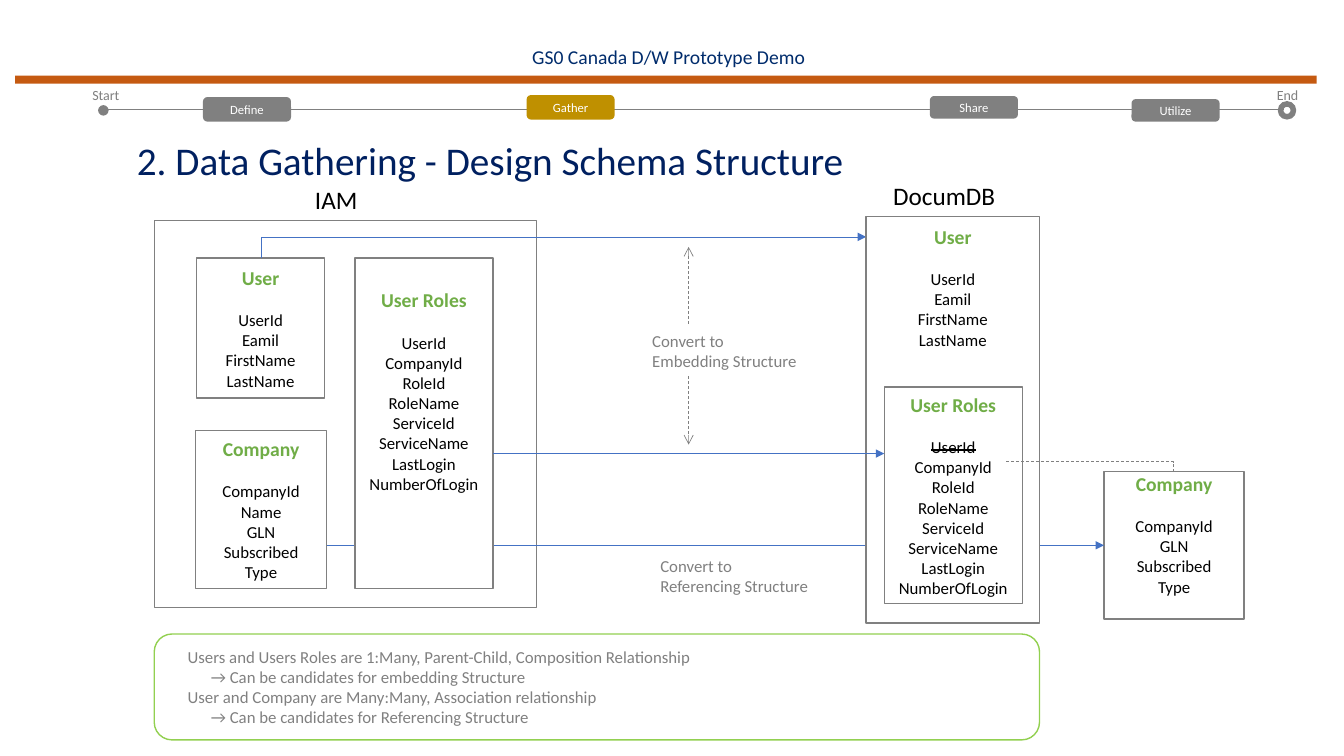
from dataclasses import dataclass
from typing import Optional

from lxml.etree import SubElement
from pptx import Presentation
from pptx.dml.color import RGBColor
from pptx.enum.dml import MSO_LINE
from pptx.enum.shapes import MSO_CONNECTOR as Link, MSO_SHAPE as Kind
from pptx.enum.text import MSO_ANCHOR as Anchor, PP_ALIGN as Align
from pptx.oxml.ns import qn
from pptx.util import Inches, Pt


@dataclass(frozen=True)
class Theme:
    font: str = "Calibri"
    black: str = "000000"
    white: str = "FFFFFF"
    grey: str = "808080"
    green: str = "70AD47"
    lime: str = "92D050"
    blue: str = "4472C4"
    gold: str = "BF9000"
    orange: str = "C55A11"
    navy: str = "002060"
    header_blue: str = "002C6C"
    title: float = 28
    system: float = 18
    heading: float = 14
    body: float = 12
    mark: float = 10
    step: float = 9
    blank_line: float = 14.65


@dataclass(frozen=True)
class Box:
    left: float
    top: float
    width: float
    height: float


@dataclass(frozen=True)
class Label:
    text: str
    box: Box
    size: float
    color: str
    wrap: bool = True
    fill: Optional[str] = None


@dataclass(frozen=True)
class Entity:
    name: str
    box: Box
    fields: str
    top_inset: Optional[float] = None  # None centres the text vertically
    struck: str = ""
    fill: Optional[str] = None


@dataclass(frozen=True)
class Step:
    name: str
    box: Box
    color: str


@dataclass(frozen=True)
class Arrow:
    start: tuple[float, float]
    end: tuple[float, float]
    color: str
    head: str = ""
    tail: str = ""
    dashed: bool = False
    elbow: bool = False


THEME = Theme()
ROLE_FIELDS = "UserId CompanyId RoleId RoleName ServiceId ServiceName LastLogin NumberOfLogin"
USER_FIELDS = "UserId Eamil FirstName LastName"

BACK_ENTITIES = [
    Entity("User", Box(1.95, 2.56, 1.27, 1.39), USER_FIELDS),
    Entity("Company", Box(1.94, 4.27, 1.3, 1.57), "CompanyId Name GLN Subscribed Type"),
    Entity("Company", Box(10.95, 4.68, 1.39, 1.46), "CompanyId GLN Subscribed Type", 0),
]
FRONT_ENTITIES = [
    Entity("User", Box(8.59, 2.15, 1.72, 4.03), USER_FIELDS, 0.08, fill=THEME.white),
    Entity("User Roles", Box(8.77, 3.84, 1.37, 2.15), ROLE_FIELDS, struck="UserId", fill=THEME.white),
    Entity("User Roles", Box(3.52, 2.56, 1.37, 3.28), ROLE_FIELDS, 0.3, fill=THEME.white),
]
USER_ARROW = Arrow((8.59, 2.35), (2.59, 2.56), THEME.blue, head="triangle", elbow=True)
COMPANY_ARROW = Arrow((3.24, 5.41), (10.95, 5.41), THEME.blue, tail="triangle")
FRONT_ARROWS = [
    Arrow((4.89, 4.5), (8.77, 4.5), THEME.blue, tail="triangle"),
    Arrow((6.83, 2.45), (6.83, 4.41), THEME.grey, "arrow", "arrow", dashed=True),
    Arrow((9.98, 4.58), (11.64, 4.68), THEME.grey, dashed=True, elbow=True),
    Arrow((0.98, 1.09), (12.73, 1.09), THEME.grey),
]
LABELS = [
    Label("GS0 Canada D/W Prototype Demo", Box(5.18, 0.4, 3.75, 0.34), THEME.heading, THEME.header_blue),
    Label("2. Data Gathering - Design Schema Structure", Box(1.26, 1.3, 8.44, 0.57), THEME.title, THEME.navy),
    Label("IAM", Box(3.02, 1.78, 0.63, 0.4), THEME.system, THEME.black, wrap=False),
    Label("DocumDB", Box(8.75, 1.74, 1.23, 0.4), THEME.system, THEME.black, wrap=False),
    Label("Convert to\nEmbedding Structure", Box(6.37, 3.23, 1.65, 0.5), THEME.body, THEME.grey, fill=THEME.white),
    Label("Convert to\nReferencing Structure", Box(6.45, 5.46, 1.72, 0.5), THEME.body, THEME.grey, fill=THEME.white),
    Label("Start", Box(0.81, 0.81, 0.48, 0.27), THEME.mark, THEME.grey, wrap=False),
    Label("End", Box(12.56, 0.81, 0.42, 0.27), THEME.mark, THEME.grey, wrap=False),
]
STEPS = [
    Step("Define", Box(2.02, 0.97, 0.86, 0.23), THEME.grey),
    Step("Gather", Box(5.23, 0.95, 0.86, 0.23), THEME.gold),
    Step("Share", Box(9.23, 0.96, 0.86, 0.21), THEME.grey),
    Step("Utilize", Box(11.23, 0.99, 0.86, 0.21), THEME.grey),
]
NOTES = [
    ("Users and Users Roles are 1:Many, Parent-Child, Composition Relationship",
     "→ Can be candidates for embedding Structure"),
    ("User and Company are Many:Many, Association relationship",
     "→ Can be candidates for Referencing Structure"),
]


def place(box: Box) -> tuple:
    return tuple(Inches(length) for length in (box.left, box.top, box.width, box.height))


def add_box(page, kind, box: Box, fill: Optional[str] = None, line: Optional[str] = None):
    shape = page.shapes.add_shape(kind, *place(box))
    shape.shadow.inherit = False
    if fill:
        shape.fill.solid()
        shape.fill.fore_color.rgb = RGBColor.from_string(fill)
    else:
        shape.fill.background()
    if line:
        shape.line.color.rgb = RGBColor.from_string(line)
        shape.line.width = Pt(1)
    else:
        shape.line.fill.background()
    return shape


def add_para(frame, text: str, size: float, color: str, align=Align.LEFT, bold: bool = False):
    para = frame.paragraphs[0]
    if para.runs:
        para = frame.add_paragraph()
    para.add_run().text = text
    para.alignment = align
    font = para.font
    font.name, font.size, font.bold = THEME.font, Pt(size), bold
    font.color.rgb = RGBColor.from_string(color)
    return para


def add_label(page, label: Label) -> None:
    if label.fill:
        shape = add_box(page, Kind.RECTANGLE, label.box, label.fill)
    else:
        shape = page.shapes.add_textbox(*place(label.box))
    frame = shape.text_frame
    frame.word_wrap = label.wrap
    frame.vertical_anchor = Anchor.TOP
    for text in label.text.split("\n"):
        add_para(frame, text, label.size, label.color, Align.LEFT if label.wrap else Align.CENTER)


def add_entity(page, entity: Entity):
    shape = add_box(page, Kind.RECTANGLE, entity.box, entity.fill, THEME.grey)
    frame = shape.text_frame
    if entity.top_inset is not None:
        frame.vertical_anchor = Anchor.TOP
        frame.margin_top = Inches(entity.top_inset)
    heading = add_para(frame, entity.name, THEME.heading, THEME.green, Align.CENTER, bold=True)
    heading.space_after = Pt(THEME.blank_line)
    for field in entity.fields.split():
        para = add_para(frame, field, THEME.body, THEME.black, Align.CENTER)
        if field == entity.struck:
            para.runs[0].font._element.set("strike", "sngStrike")
    return shape


def add_arrow(page, arrow: Arrow):
    kind = Link.ELBOW if arrow.elbow else Link.STRAIGHT
    link = page.shapes.add_connector(kind, *(Inches(value) for value in arrow.start + arrow.end))
    link.line.color.rgb = RGBColor.from_string(arrow.color)
    link.line.width = Pt(0.5)
    if arrow.dashed:
        link.line.dash_style = MSO_LINE.DASH
    properties = link._element.spPr
    if arrow.elbow:  # a single corner
        properties.find(qn("a:prstGeom")).set("prst", "bentConnector2")
    for tag, end in (("a:headEnd", arrow.head), ("a:tailEnd", arrow.tail)):
        if end:
            SubElement(properties.find(qn("a:ln")), qn(tag), type=end)
    SubElement(properties, qn("a:effectLst"))
    return link


def add_notes_box(page) -> None:
    shape = add_box(page, Kind.ROUNDED_RECTANGLE, Box(1.53, 6.29, 8.78, 1.05), line=THEME.lime)
    frame = shape.text_frame
    frame.margin_left = Inches(0.28)
    for relation, advice in NOTES:
        add_para(frame, relation, THEME.body, THEME.grey)
        para = add_para(frame, advice, THEME.body, THEME.grey)
        para._p.get_or_add_pPr().set("marL", str(Inches(0.23)))


def main() -> None:
    deck = Presentation()
    deck.slide_width, deck.slide_height = Inches(13.33), Inches(7.5)
    page = deck.slides.add_slide(deck.slide_layouts[6])

    # Schemas and the arrows between them
    add_box(page, Kind.RECTANGLE, Box(1.53, 2.19, 3.79, 3.84), line=THEME.grey)
    *_, referenced_company = [add_entity(page, entity) for entity in BACK_ENTITIES]
    add_arrow(page, USER_ARROW)
    add_arrow(page, COMPANY_ARROW).end_connect(referenced_company, 1)
    for entity in FRONT_ENTITIES:
        add_entity(page, entity)
    for arrow in FRONT_ARROWS:
        add_arrow(page, arrow)
    add_notes_box(page)

    # Header bar and timeline
    add_box(page, Kind.RECTANGLE, Box(0.15, 0.75, 12.91, 0.08), THEME.orange)
    for step in STEPS:
        shape = add_box(page, Kind.ROUNDED_RECTANGLE, step.box, step.color, step.color)
        add_para(shape.text_frame, step.name, THEME.step, THEME.white, Align.CENTER)
    add_box(page, Kind.FLOWCHART_CONNECTOR, Box(0.98, 1.05, 0.09, 0.09), THEME.grey, THEME.grey)
    add_box(page, Kind.DONUT, Box(12.68, 1.01, 0.17, 0.17), THEME.grey, THEME.grey)

    # Titles and captions
    for label in LABELS:
        add_label(page, label)

    deck.save("out.pptx")


if __name__ == "__main__":
    main()
